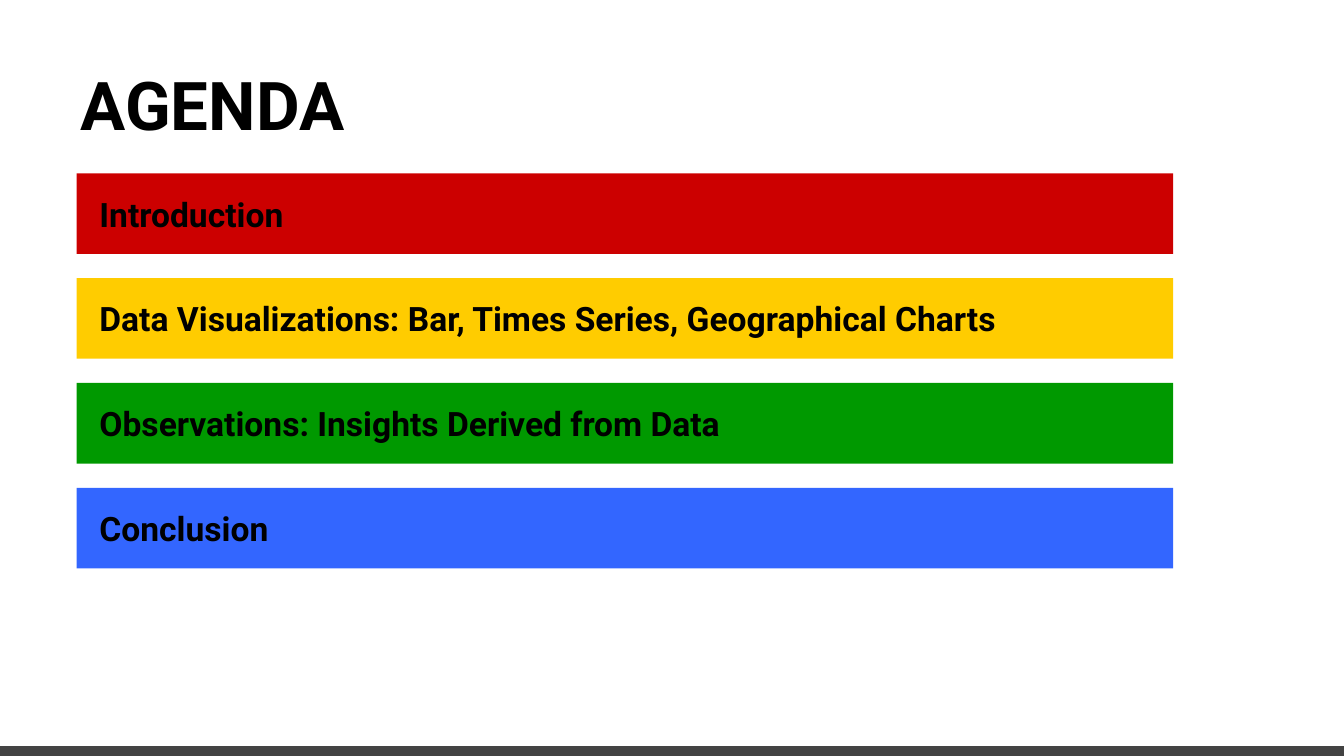
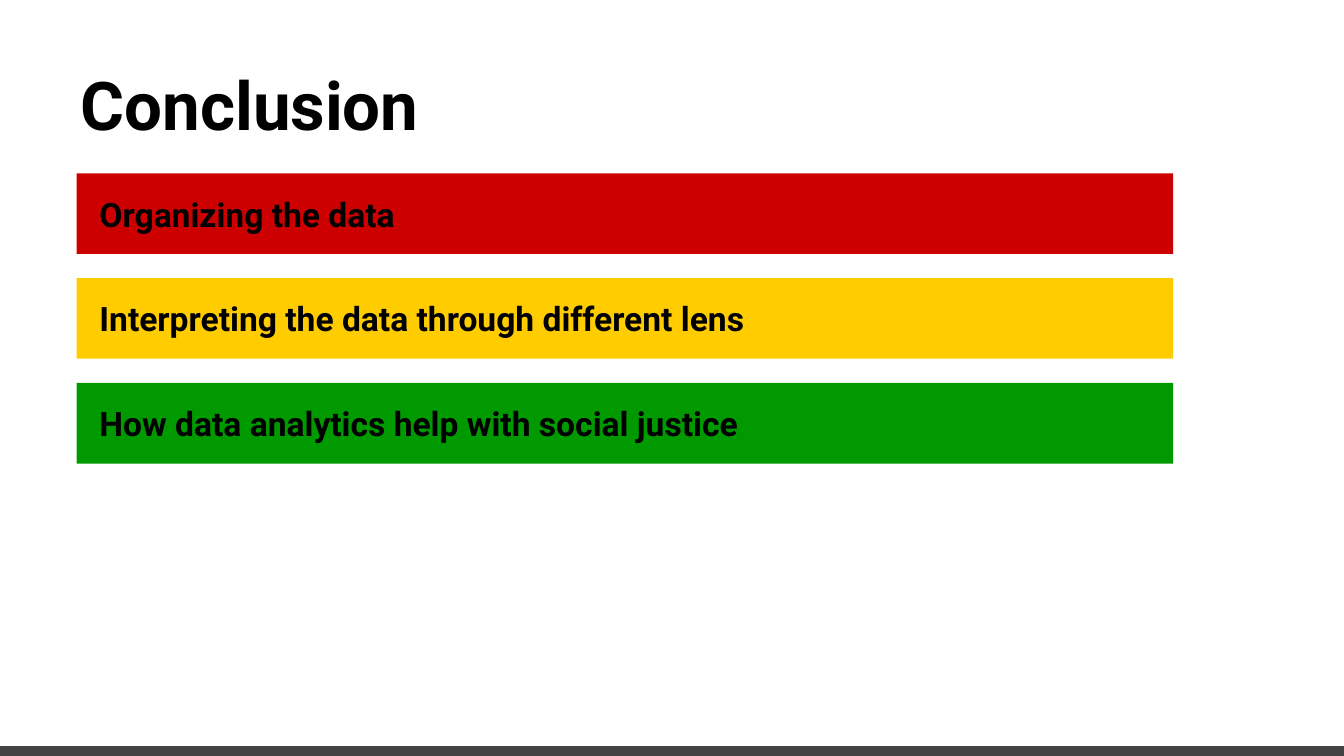
from pptx import Presentation
from pptx.dml.color import RGBColor
from pptx.enum.shapes import MSO_CONNECTOR, MSO_SHAPE
from pptx.enum.text import MSO_ANCHOR, MSO_AUTO_SIZE, PP_ALIGN
from pptx.oxml.ns import qn
from pptx.util import Inches, Pt
from lxml import etree

STRAIGHT = MSO_CONNECTOR.STRAIGHT
RECTANGLE = MSO_SHAPE.RECTANGLE
MIDDLE, BOTTOM = MSO_ANCHOR.MIDDLE, MSO_ANCHOR.BOTTOM
NO_AUTOFIT = MSO_AUTO_SIZE.NONE
LEFT = PP_ALIGN.LEFT

# Shared look
FONT = "Roboto"
COLORS = {
    "text": "000000",
    "footer": "434343",
    "red": "CC0000",
    "yellow": "FFCC00",
    "green": "009900",
    "blue": "3366FF",
}
BAR_COLORS = ["red", "yellow", "green", "blue"]
BAR_LEFT, BAR_TOP, BAR_WIDTH, BAR_HEIGHT = 0.57, 1.29, 8.16, 0.6
BAR_PITCH = 0.78
FOOTER_Y = 5.59

# Wording of each slide
SLIDES = [
    ("AGENDA", [
        "Introduction",
        "Data Visualizations: Bar, Times Series, Geographical Charts",
        "Observations: Insights Derived from Data",
        "Conclusion",
    ]),
    ("Conclusion", [
        "Organizing the data",
        "Interpreting the data through different lens",
        "How data analytics help with social justice",
    ]),
]


def color(name):
    return RGBColor.from_string(COLORS[name])


def write(shape, text, size, anchor, left_inset, inset):
    frame = shape.text_frame
    frame.text = text
    frame.word_wrap = True
    frame.auto_size = NO_AUTOFIT
    frame.vertical_anchor = anchor
    frame.margin_left = Inches(left_inset)
    frame.margin_top = frame.margin_right = frame.margin_bottom = Inches(inset)
    para = frame.paragraphs[0]
    para.alignment = LEFT
    font = para.runs[0].font
    font.name = FONT
    font.size = Pt(size)
    font.bold = True
    font.color.rgb = color("text")


# Widescreen deck, 16:9
deck = Presentation()
deck.slide_width = Inches(10)
deck.slide_height = Inches(10 * 9 / 16)
title_only = deck.slide_layouts[5]

for heading, topics in SLIDES:
    page = deck.slides.add_slide(title_only)

    # Footer line
    footer = page.shapes.add_connector(
        STRAIGHT, 0, Inches(FOOTER_Y), deck.slide_width, Inches(FOOTER_Y))
    footer.line.color.rgb = color("footer")
    footer.line.width = Pt(6)
    etree.SubElement(footer._element.spPr, qn("a:effectLst"))

    # Title
    title = page.shapes.title
    title.left, title.top = Inches(0.5), Inches(0.23)
    title.width, title.height = Inches(9), Inches(0.94)
    write(title, heading, 36, BOTTOM, 0.1, 0.1)

    # Coloured topic bars
    for row, (topic, bar_color) in enumerate(zip(topics, BAR_COLORS)):
        bar = page.shapes.add_shape(
            RECTANGLE, Inches(BAR_LEFT), Inches(BAR_TOP + row * BAR_PITCH),
            Inches(BAR_WIDTH), Inches(BAR_HEIGHT))
        bar.shadow.inherit = False
        bar.fill.solid()
        bar.fill.fore_color.rgb = color(bar_color)
        bar.line.fill.background()
        write(bar, topic, 18, MIDDLE, 0.17, 0.07)

deck.save("out.pptx")
